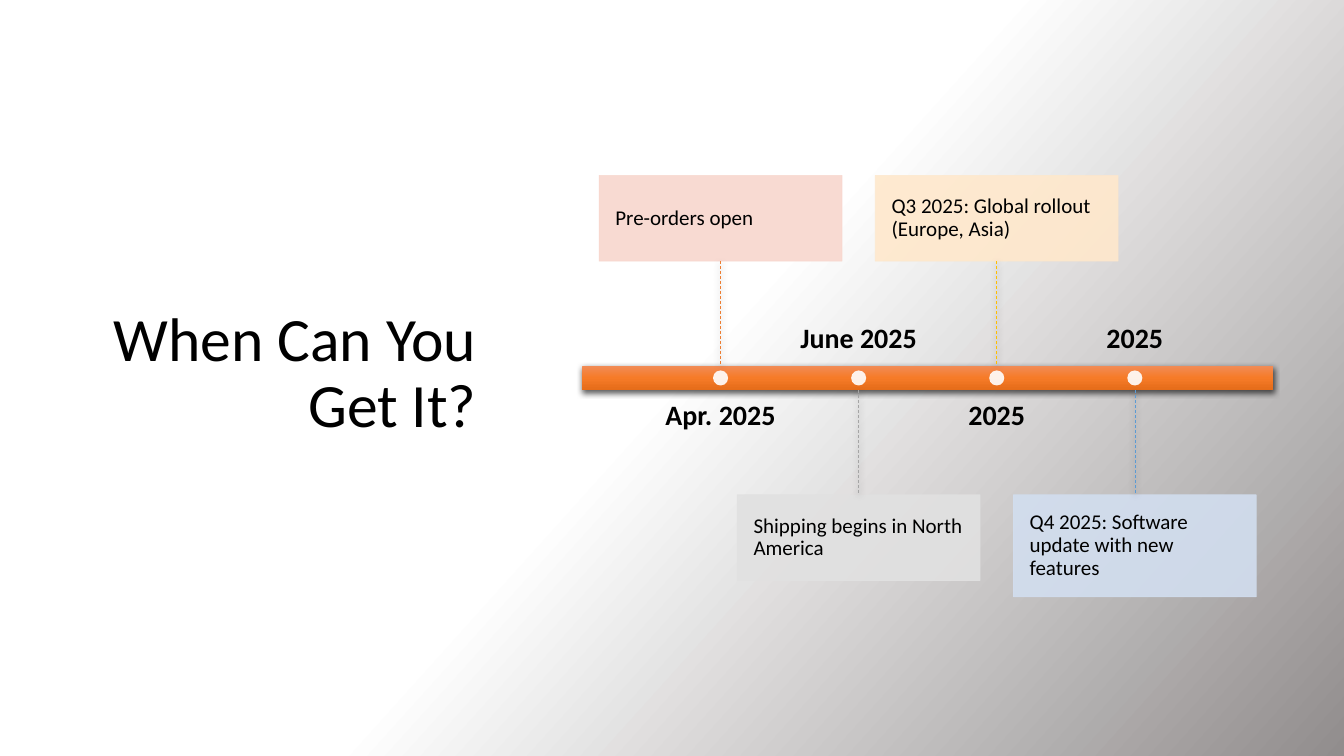
from copy import deepcopy
from dataclasses import dataclass

from lxml.etree import SubElement as Sub
from pptx import Presentation
from pptx.dml.color import RGBColor as Rgb
from pptx.enum.dml import MSO_LINE_DASH_STYLE as Dash
from pptx.enum.shapes import MSO_CONNECTOR_TYPE as Link, MSO_SHAPE as Shape
from pptx.enum.text import MSO_ANCHOR as Anchor, MSO_AUTO_SIZE as Auto, PP_ALIGN as Align
from pptx.oxml.ns import qn
from pptx.util import Cm, Pt


@dataclass(frozen=True)
class Theme:
    font: str = "Calibri"
    ink: str = "000000"
    dot: str = "FFFFFF"
    back: tuple = ("FFFFFF", "FFFFFF", "918D8D")
    bar: tuple = ("F18C57", "F67B28", "E56C19")
    # Box fill and stem colour of each event
    tints: tuple = (("F8D7CE", "ED7D31"), ("E1E1E1", "A5A5A5"),
                    ("FFE8CC", "FFC000"), ("D2DEEF", "5B9BD5"))
    title: int = 44
    date: int = 20
    body: int = 15


class Deck:
    def __init__(self, theme):
        self.theme = theme
        self.prs = Presentation()
        self.prs.slide_width, self.prs.slide_height = Cm(33.87), Cm(19.05)
        self.slide = self.prs.slides.add_slide(self.prs.slide_layouts[5])
        self.blend(self.slide.background.fill, self.slide.element, theme.back, 42)

    def blend(self, fill, host, hues, angle):
        """Three even stops; the angle runs clockwise."""
        fill.gradient()
        fill.gradient_angle = 360 - angle
        stops = host.find(".//" + qn("a:gsLst"))
        stops.append(deepcopy(stops[-1]))
        for stop, hue, place in zip(fill.gradient_stops, hues, (0, 0.5, 1)):
            stop.color.rgb = Rgb.from_string(hue)
            stop.position = place

    def fade(self, item):
        for hue in item.element.spPr.iter(qn("a:srgbClr")):
            Sub(hue, qn("a:alpha"), val="90000")

    def shade(self, item):
        effect = Sub(item.element.spPr, qn("a:effectLst"))
        cast = Sub(effect, qn("a:outerShdw"), blurRad=str(Pt(4.5)), dist=str(Pt(1.5)),
                   dir="5400000", algn="ctr", rotWithShape="0")
        Sub(Sub(cast, qn("a:srgbClr"), val="000000"), qn("a:alpha"), val="63000")

    def label(self, item, text, size, align, anchor, pad=None, bold=False):
        frame = item.text_frame
        frame.text = text
        frame.word_wrap, frame.auto_size = True, Auto.NONE
        frame.vertical_anchor = anchor
        if pad is not None:
            frame.margin_left = frame.margin_right = Cm(pad)
            frame.margin_top = frame.margin_bottom = Cm(pad)
        para = frame.paragraphs[0]
        para.alignment, para.line_spacing = align, 0.9
        font = para.runs[0].font
        font.name, font.size, font.bold = self.theme.font, Pt(size), bold
        font.color.rgb = Rgb.from_string(self.theme.ink)

    def title(self, text, x, y, w, h):
        item = self.slide.shapes.title
        item.left, item.top, item.width, item.height = map(Cm, (x, y, w, h))
        self.label(item, text, self.theme.title, Align.RIGHT, Anchor.MIDDLE)

    def bar(self, x, y, w, h):
        item = self.slide.shapes.add_shape(Shape.RECTANGLE, *map(Cm, (x, y, w, h)))
        item.line.fill.background()
        self.blend(item.fill, item.element, self.theme.bar, 90)
        self.shade(item)

    def box(self, text, x, y, w, h, hue):
        item = self.slide.shapes.add_shape(Shape.RECTANGLE, *map(Cm, (x, y, w, h)))
        item.shadow.inherit = False
        item.fill.solid()
        item.fill.fore_color.rgb = item.line.color.rgb = Rgb.from_string(hue)
        item.line.width = Pt(0.5)
        self.fade(item)
        self.label(item, text, self.theme.body, Align.LEFT, Anchor.MIDDLE, 0.41)

    def date(self, text, x, y, w, h, anchor):
        item = self.slide.shapes.add_textbox(*map(Cm, (x, y, w, h)))
        self.label(item, text, self.theme.date, Align.CENTER, anchor, 0, True)

    def stem(self, x, top, end, hue):
        item = self.slide.shapes.add_connector(Link.STRAIGHT, *map(Cm, (x, top, x, end)))
        item.line.color.rgb = Rgb.from_string(hue)
        item.line.width, item.line.dash_style = Pt(0.5), Dash.DASH
        self.shade(item)

    def dot(self, x, y, size):
        item = self.slide.shapes.add_shape(
            Shape.OVAL, *map(Cm, (x - size / 2, y - size / 2, size, size)))
        item.shadow.inherit = False
        item.fill.solid()
        item.fill.fore_color.rgb = Rgb.from_string(self.theme.dot)
        item.line.fill.background()
        self.fade(item)


def main():
    theme = Theme()
    deck = Deck(theme)
    deck.title("When Can You Get It?", 1.88, 5.74, 10.39, 7.39)

    # Date, text and box height of each event
    events = (
        ("Apr. 2025", "Pre-orders open", 2.16),
        ("June 2025", "Shipping begins in North America", 2.16),
        ("2025", "Q3 2025: Global rollout (Europe, Asia)", 2.16),
        ("2025", "Q4 2025: Software update with new features", 2.57),
    )

    # Timeline bar
    left, top, width, thick = 14.68, 9.22, 17.4, 0.61
    base = top + thick
    step = width / (len(events) + 1)
    deck.bar(left, top, width, thick)

    # Events alternate above and below the bar
    reach, gap = 2.64, 0.28
    box_w, date_w, date_h = 6.12, 5.56, 1.75
    for i, ((date, text, tall), (tint, hue)) in enumerate(zip(events, theme.tints)):
        x = left + step * (i + 1)
        if i % 2 == 0:
            start, end = top - reach, top
            box_y, date_y, anchor = start - tall, base + gap, Anchor.TOP
        else:
            start, end = base, base + reach
            box_y, date_y, anchor = end, top - gap - date_h, Anchor.BOTTOM
        deck.date(date, x - date_w / 2, date_y, date_w, date_h, anchor)
        deck.box(text, x - box_w / 2, box_y, box_w, tall, tint)
        deck.stem(x, start, end, hue)
        deck.dot(x, top + thick / 2, 0.38)

    deck.prs.save("out.pptx")


if __name__ == "__main__":
    main()
